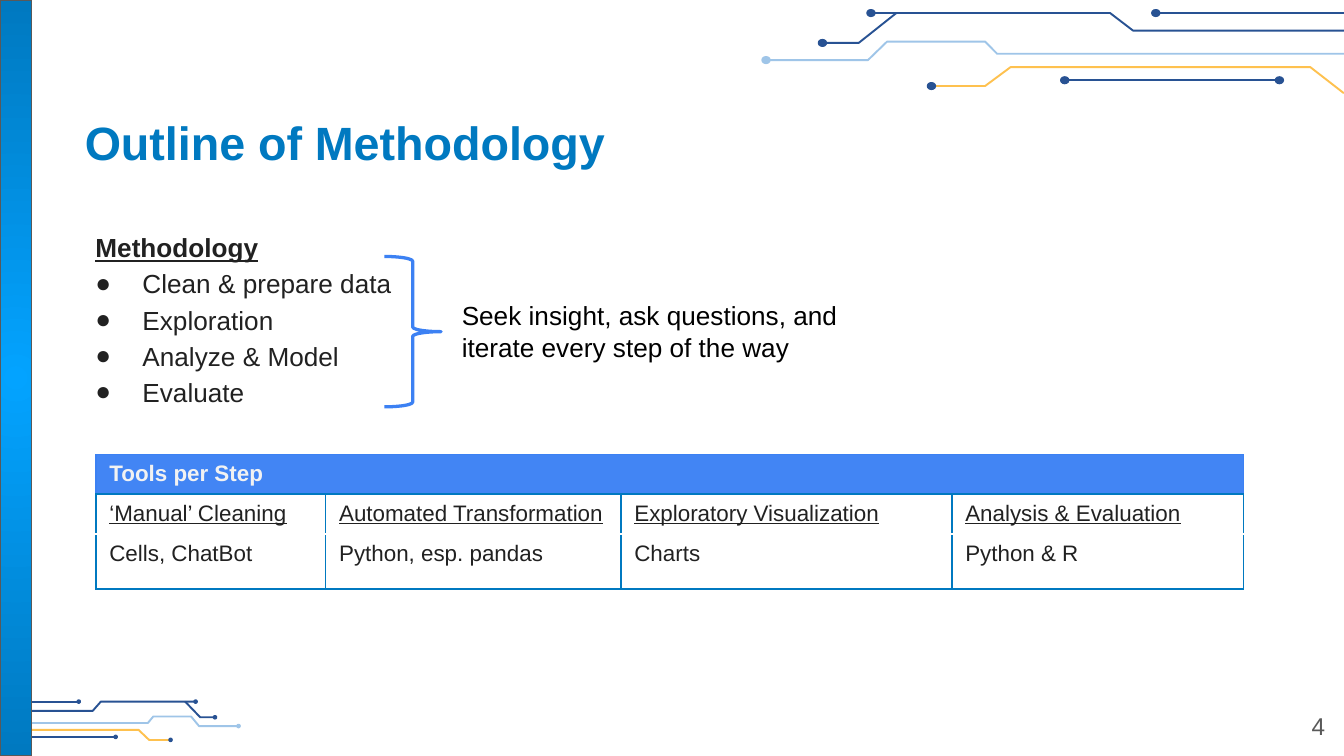
from dataclasses import dataclass
from typing import Any

from lxml import etree
from pptx import Presentation
from pptx.dml.color import RGBColor
from pptx.enum.shapes import MSO_CONNECTOR, MSO_SHAPE
from pptx.enum.text import MSO_ANCHOR, MSO_AUTO_SIZE, PP_ALIGN
from pptx.oxml import parse_xml
from pptx.oxml.ns import nsdecls, qn
from pptx.util import Pt

STRAIGHT = MSO_CONNECTOR.STRAIGHT
OVAL, RECT, BRACE = MSO_SHAPE.OVAL, MSO_SHAPE.RECTANGLE, MSO_SHAPE.RIGHT_BRACE
TOP, MIDDLE = MSO_ANCHOR.TOP, MSO_ANCHOR.MIDDLE
LEFT, RIGHT = PP_ALIGN.LEFT, PP_ALIGN.RIGHT
NO_AUTOFIT = MSO_AUTO_SIZE.NONE

BLUE, BRIGHT, ACCENT, HEADER = "0079C0", "03A3FF", "3C81F3", "4285F4"
NAVY, SKY, AMBER = "285293", "9FC5E8", "FEC14F"
INK, GRAY, BLACK, PALE = "212121", "595959", "000000", "F2F2F2"

Point = tuple[float, float]
Box = tuple[float, float, float, float]


@dataclass(frozen=True)
class Trace:
    """A circuit line with a dot on its last point, and on its first if asked."""
    points: list[Point]
    line: str = NAVY
    dot: str = NAVY
    dot_at_start: bool = False


@dataclass(frozen=True)
class Step:
    name: str
    tools: str
    width: float


TOP_DOT, BOTTOM_DOT = (4.3, 3.6), (1.7, 1.7)
TOP_TRACES = [
    Trace([(720, 16.4), (607, 16.4), (594.7, 7), (466.6, 7)]),
    Trace([(480.2, 7), (460.1, 23), (440.6, 23)]),
    Trace([(720, 7), (619.2, 7)]),
    Trace([(720, 50), (702, 36), (541.4, 36), (527.8, 46.1), (499, 46.1)], AMBER),
    Trace([(685.4, 43), (570.4, 43)], dot_at_start=True),
    Trace([(720, 28.8), (534.2, 28.8), (527.8, 22.3), (475.2, 22.3),
           (465, 32.2), (410.4, 32.2)], SKY, SKY),
]
BOTTOM_TRACES = [
    Trace([(17, 380.8), (49.7, 380.8), (54, 375.9), (104.8, 375.9)]),
    Trace([(99.2, 375.9), (107.3, 384.3), (115.2, 384.3)]),
    Trace([(17, 375.9), (42.2, 375.9)]),
    Trace([(17, 391), (74.2, 391), (79.9, 396.4), (91.4, 396.4)], AMBER),
    Trace([(17, 394.8), (62, 394.8)]),
    Trace([(17, 387.4), (79.2, 387.4), (82.1, 383.9), (102.4, 383.9),
           (106.6, 389), (127.8, 389)], SKY, SKY),
]
PHASES = ["Clean & prepare data", "Exploration", "Analyze & Model", "Evaluate"]
ADVICE = ["Seek insight, ask questions, and", "iterate every step of the way"]
STEPS = [
    Step("‘Manual’ Cleaning", "Cells, ChatBot", 123.1),
    Step("Automated Transformation", "Python, esp. pandas", 158.2),
    Step("Exploratory Visualization", "Charts", 177.3),
    Step("Analysis & Evaluation", "Python & R", 156.3),
]
ROW_HEIGHTS = [21, 21.5, 29.5]


def rgb(code: str) -> RGBColor:
    return RGBColor.from_string(code)


def apply(target: Any, **values: Any) -> None:
    for key, value in values.items():
        setattr(target, key, value)


def write(paragraph: Any, text: str, size: float, color: str, **font: Any) -> None:
    run = paragraph.add_run()
    run.text = text
    apply(run.font, name="Arial", size=Pt(size), **font)
    run.font.color.rgb = rgb(color)


def place(shape: Any, box: Box) -> None:
    apply(shape, **dict(zip(("left", "top", "width", "height"), map(Pt, box))))


def set_frame(frame: Any, anchor: Any, inset: float) -> None:
    apply(frame, word_wrap=True, auto_size=NO_AUTOFIT, vertical_anchor=anchor,
          margin_left=Pt(7.2), margin_right=Pt(7.2),
          margin_top=Pt(inset), margin_bottom=Pt(inset))


def set_line(shape: Any, color: str, width: float) -> None:
    shape.line.color.rgb = rgb(color)
    shape.line.width = Pt(width)


def draw_dot(shapes: Any, center: Point, size: Point, color: str) -> None:
    (x, y), (width, height) = center, size
    dot = shapes.add_shape(OVAL, Pt(x - width / 2), Pt(y - height / 2), Pt(width), Pt(height))
    dot.shadow.inherit = False
    dot.fill.solid()
    dot.fill.fore_color.rgb = rgb(color)
    set_line(dot, color, 0.75)


def draw_trace(shapes: Any, trace: Trace, dot_size: Point) -> None:
    points = [(Pt(x), Pt(y)) for x, y in trace.points]
    if len(points) == 2:
        line = shapes.add_connector(STRAIGHT, *points[0], *points[1])
        etree.SubElement(line._element.spPr, qn("a:effectLst"))
    else:
        builder = shapes.build_freeform(*points[0])
        builder.add_line_segments(points[1:], close=False)
        line = builder.convert_to_shape()
        line.shadow.inherit = False
        line.fill.background()
    set_line(line, trace.line, 1.03)
    ends = [trace.points[-1]] + trace.points[:1] * trace.dot_at_start
    for end in ends:
        draw_dot(shapes, end, dot_size, trace.dot)


def draw_side_bar(shapes: Any) -> None:
    bar = shapes.add_shape(RECT, 0, 0, Pt(17), Pt(405))
    set_line(bar, GRAY, 0.75)
    bar.shadow.inherit = False
    bar._element.spPr.find(qn("a:prstGeom")).addnext(parse_xml(
        f'<a:gradFill {nsdecls("a")}><a:gsLst>'
        f'<a:gs pos="0"><a:srgbClr val="{BRIGHT}"/></a:gs>'
        f'<a:gs pos="100000"><a:srgbClr val="{BLUE}"/></a:gs></a:gsLst>'
        '<a:path path="circle"><a:fillToRect l="50000" t="50000" r="50000" b="50000"/>'
        '</a:path></a:gradFill>'))


def set_bullet(paragraph: Any, indent: float, hanging: float, symbol: str = "") -> None:
    props = paragraph._p.get_or_add_pPr()
    props.set("marL", str(Pt(indent)))
    props.set("indent", str(Pt(-hanging)))
    if not symbol:
        etree.SubElement(props, qn("a:buNone"))
        return
    color = etree.SubElement(props, qn("a:buClr"))
    etree.SubElement(color, qn("a:srgbClr"), val=INK)
    etree.SubElement(props, qn("a:buFont"), typeface="Arial")
    etree.SubElement(props, qn("a:buChar"), char=symbol)


def fill_body(body: Any) -> None:
    place(body, (33.1, 114.5, 632.9, 234))
    frame = body.text_frame
    set_frame(frame, TOP, 7.2)
    for index, text in enumerate(["Methodology", *PHASES]):
        heading = index == 0
        paragraph = frame.paragraphs[0] if heading else frame.add_paragraph()
        apply(paragraph, line_spacing=1.15, space_before=Pt(0), alignment=LEFT)
        set_bullet(paragraph, *((10.8, 0) if heading else (36, 25.2, "●")))
        write(paragraph, text, 14, INK, bold=heading, underline=heading)


def add_text(shapes: Any, box: Box, lines: list[str], size: float, color: str,
             inset: float, align: Any = LEFT) -> None:
    frame = shapes.add_textbox(*map(Pt, box)).text_frame
    set_frame(frame, TOP, inset)
    for index, text in enumerate(lines):
        paragraph = frame.add_paragraph() if index else frame.paragraphs[0]
        paragraph.alignment = align
        write(paragraph, text, size, color)


def set_borders(cell: Any, borders: dict[str, tuple[str, float]]) -> None:
    """Draw borders keyed by side, in the order L, R, T, B."""
    props = cell._tc.get_or_add_tcPr()
    for side, (color, width) in borders.items():
        line = etree.SubElement(props, qn(f"a:ln{side}"), w=str(Pt(width)))
        fill = etree.SubElement(line, qn("a:solidFill"))
        etree.SubElement(fill, qn("a:srgbClr"), val=color)


def add_tools_table(shapes: Any) -> None:
    total = sum(step.width for step in STEPS)
    table = shapes.add_table(len(ROW_HEIGHTS), len(STEPS), Pt(51.4), Pt(243.7),
                             Pt(total), Pt(sum(ROW_HEIGHTS))).table
    apply(table, first_row=False, horz_banding=False)
    for row, height in zip(table.rows, ROW_HEIGHTS):
        row.height = Pt(height)
    outer, inner = (ACCENT, 0.75), (BLUE, 1)
    sides = {"L": inner, "R": inner}
    for index, step in enumerate(STEPS):
        table.columns[index].width = Pt(step.width)
        header, name, tools = (table.cell(row, index) for row in range(3))
        set_borders(header, {"L": outer, "R": outer, "T": outer, "B": inner})
        header.fill.solid()
        header.fill.fore_color.rgb = rgb(HEADER)
        for cell, text, borders, underline in (
                (name, step.name, {**sides, "T": inner}, True),
                (tools, step.tools, {**sides, "B": inner}, False)):
            set_borders(cell, borders)
            cell.fill.background()
            write(cell.text_frame.paragraphs[0], text, 12, INK, underline=underline)
    title = table.cell(0, 0)
    title.merge(table.cell(0, len(STEPS) - 1))
    write(title.text_frame.paragraphs[0], "Tools per Step", 12, PALE, bold=True)


def main() -> None:
    deck = Presentation()
    apply(deck, slide_width=Pt(720), slide_height=Pt(405))
    slide = deck.slides.add_slide(deck.slide_layouts[1])
    shapes = slide.shapes
    for traces, dot_size in ((BOTTOM_TRACES, BOTTOM_DOT), (TOP_TRACES, TOP_DOT)):
        for trace in traces:
            draw_trace(shapes, trace, dot_size)
    draw_side_bar(shapes)
    title = shapes.title
    place(title, (38.2, 53.3, 671, 45.4))
    set_frame(title.text_frame, MIDDLE, 7.2)
    heading = title.text_frame.paragraphs[0]
    heading.alignment = LEFT
    write(heading, "Outline of Methodology", 25, BLUE, bold=True)
    fill_body(slide.placeholders[1])
    add_text(shapes, (673.9, 373.7, 43, 31), ["4"], 13, GRAY, 7.2, RIGHT)
    brace = shapes.add_shape(BRACE, *map(Pt, (205.9, 137.4, 30.4, 80.6)))
    brace.shadow.inherit = False
    brace.fill.background()
    set_line(brace, ACCENT, 1.75)
    add_text(shapes, (240.3, 157, 218, 41), ADVICE, 14, BLACK, 3.6)
    add_tools_table(shapes)
    deck.save("out.pptx")


if __name__ == "__main__":
    main()
